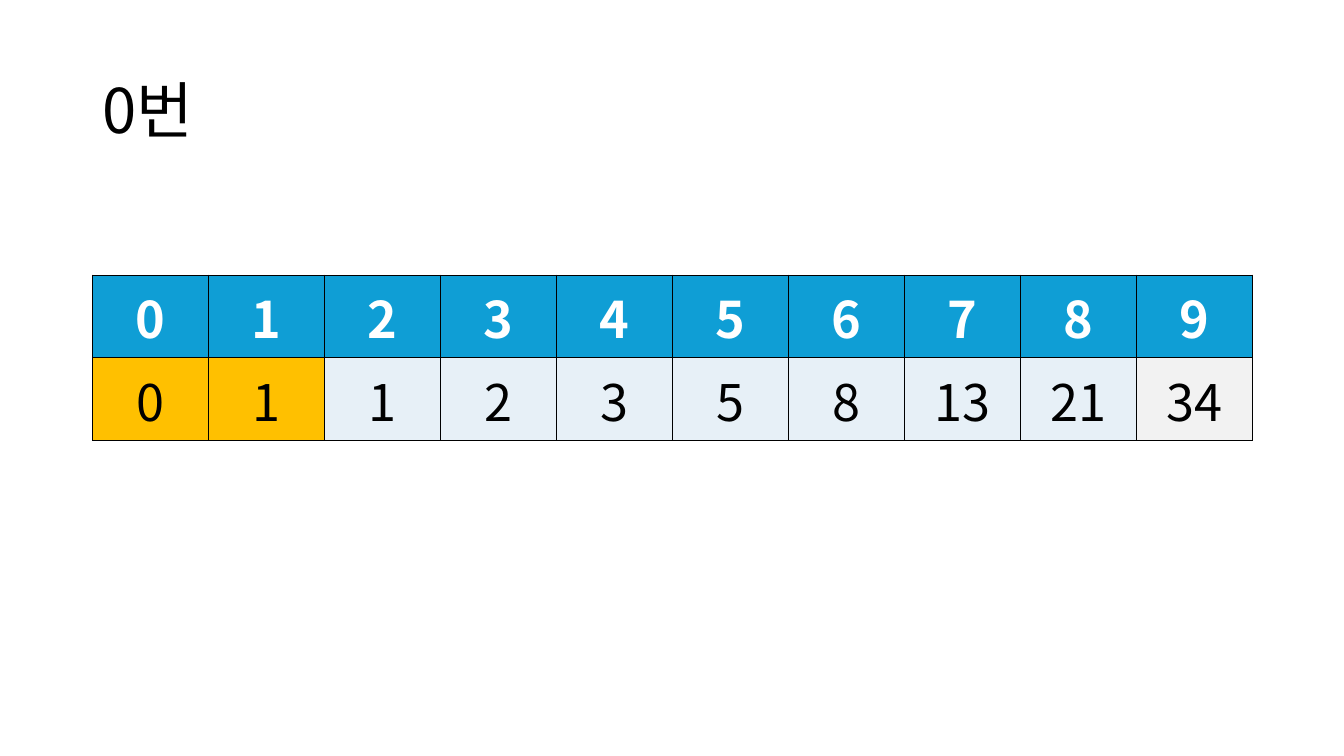
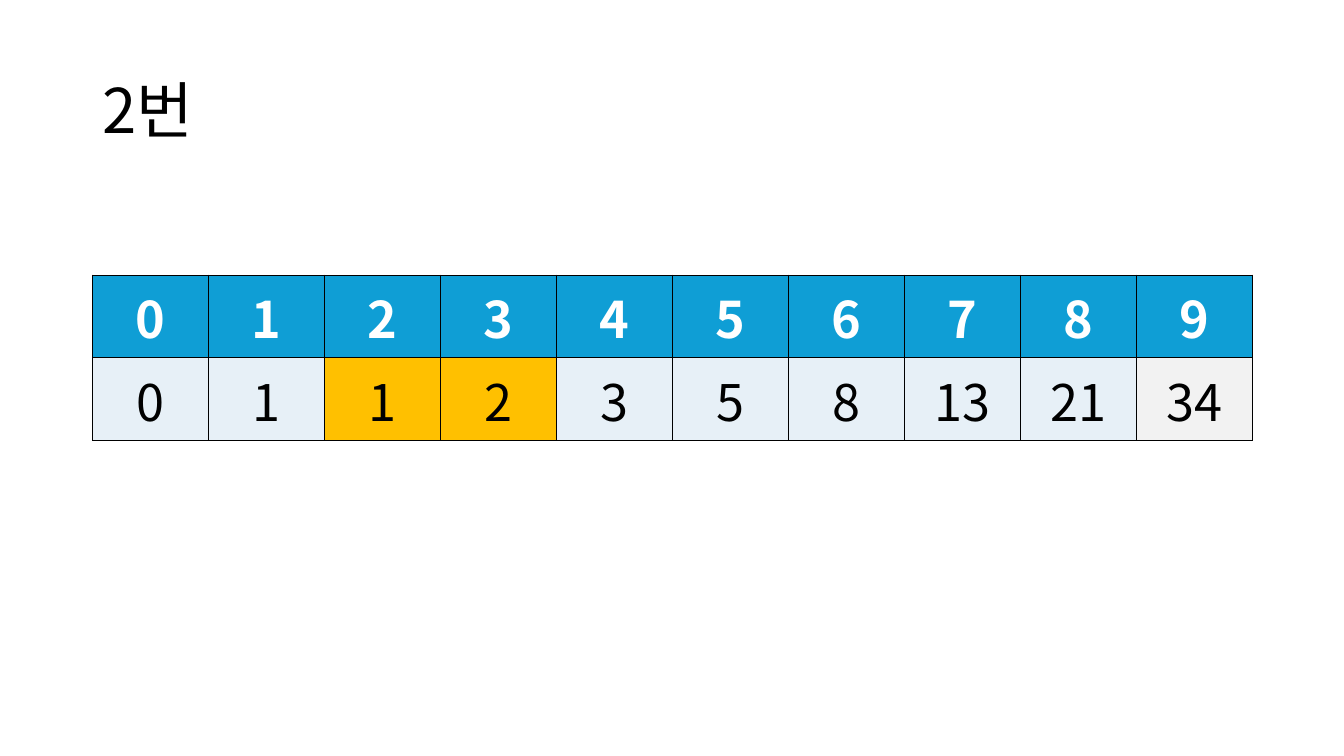
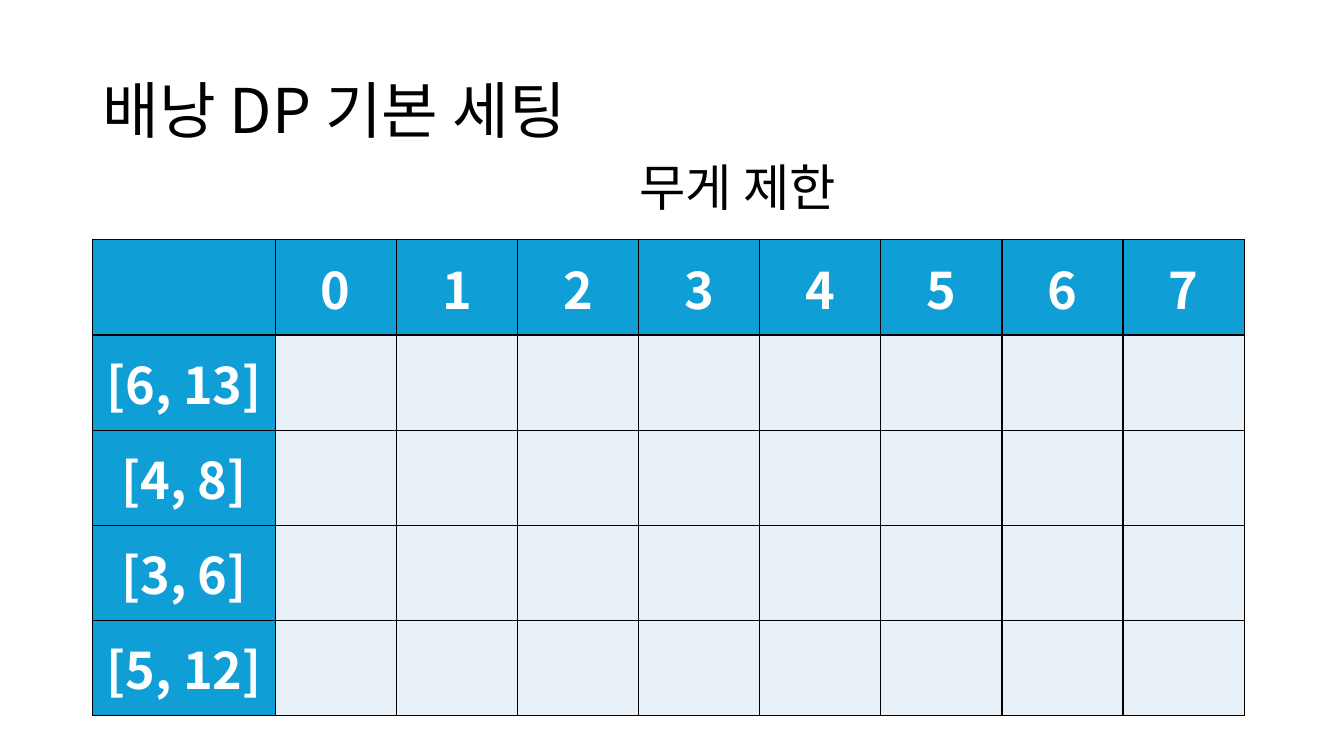
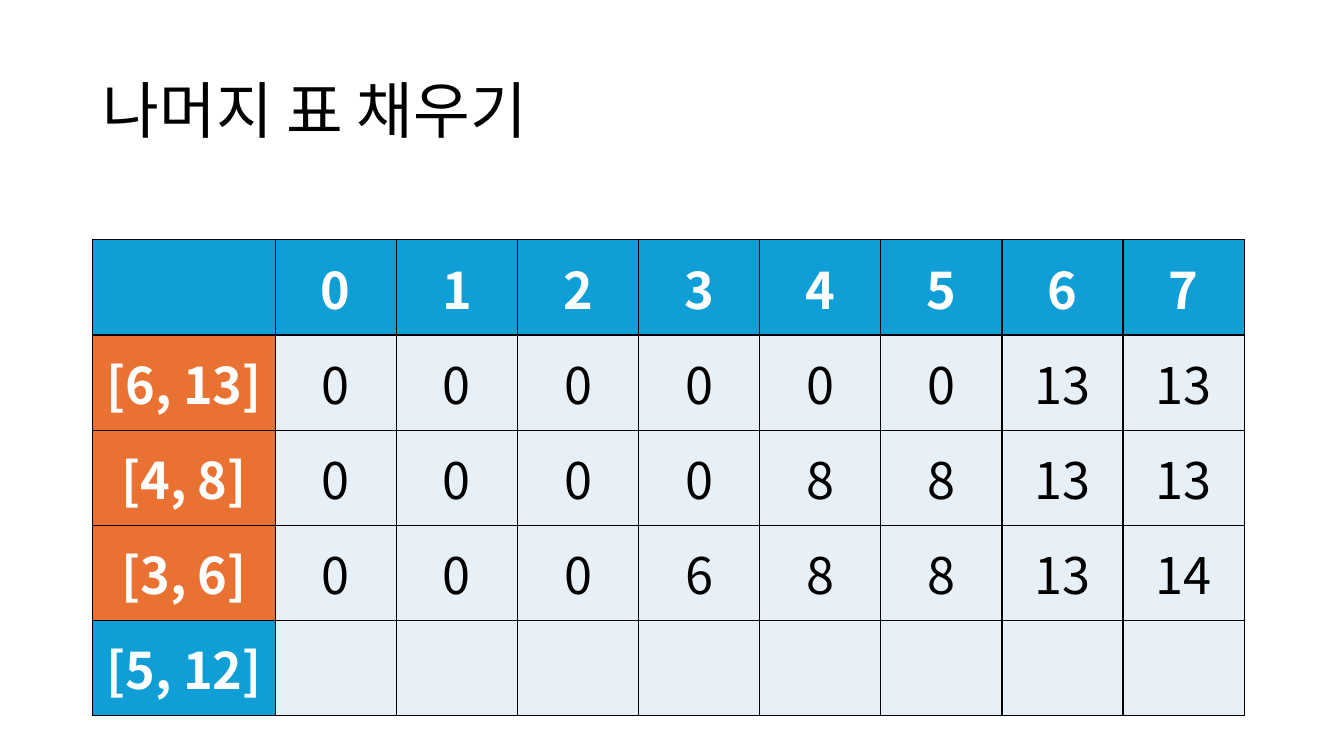
from dataclasses import dataclass
from lxml.etree import SubElement
from pptx import Presentation
from pptx.dml.color import RGBColor as RGB
from pptx.enum.text import MSO_ANCHOR as Anchor, PP_ALIGN as Align
from pptx.oxml import parse_xml
from pptx.oxml.ns import nsdecls, qn
from pptx.util import Inches, Pt


@dataclass(frozen=True)
class Theme:
    font: str = "Noto Sans CJK KR"
    title: int = 44
    body: int = 36
    ink: str = "000000"
    white: str = "FFFFFF"
    head: str = "0F9ED5"
    cell: str = "E7F0F7"
    last: str = "F2F2F2"
    mark: str = "FFC000"
    done: str = "E97132"


T = Theme()
LEFT = 0.92
ITEMS = ["[6, 13]", "[4, 8]", "[3, 6]", "[5, 12]"]
FIBS = [0, 1, 1, 2, 3, 5, 8, 13, 21, 34]
BEST = [
    [0, 0, 0, 0, 0, 0, 13, 13],
    [0, 0, 0, 0, 8, 8, 13, 13],
    [0, 0, 0, 6, 8, 8, 13, 14],
]


def style(para, size, color=T.ink, bold=False):
    """Set the font for both Latin and Korean text."""
    font = para.font
    font.size, font.bold, font.name = Pt(size), bold, T.font
    font.color.rgb = RGB.from_string(color)
    props = para._p.pPr.find(qn("a:defRPr"))
    SubElement(props, qn("a:ea"), typeface=T.font)


def add_text(slide, text, box, size, anchor=Anchor.TOP):
    frame = slide.shapes.add_textbox(*map(Inches, box)).text_frame
    frame.word_wrap = True
    frame.vertical_anchor = anchor
    frame.text = text
    para = frame.paragraphs[0]
    style(para, size)
    return para


def add_slide(deck, title):
    slide = deck.slides.add_slide(deck.slide_layouts[6])
    para = add_text(slide, title, (LEFT, 0.4, 11.5, 1.45), T.title, Anchor.MIDDLE)
    para.line_spacing = 0.9
    return slide


def add_edges(cell):
    props = cell._tc.get_or_add_tcPr()
    for side in "LRTB":
        props.append(parse_xml(
            f'<a:ln{side} {nsdecls("a")} w="12700"><a:solidFill>'
            f'<a:srgbClr val="{T.ink}"/></a:solidFill></a:ln{side}>'))


def fill_cell(cell, value, fill, head):
    add_edges(cell)
    cell.fill.solid()
    cell.fill.fore_color.rgb = RGB.from_string(fill)
    cell.vertical_anchor = Anchor.MIDDLE
    if value != "":
        cell.text = str(value)
        para = cell.text_frame.paragraphs[0]
        para.alignment = Align.CENTER
        style(para, T.body, T.white if head else T.ink, head)


def add_grid(slide, rows, box, tints, side=None):
    """Draw a table; side is the width of a heading column, if there is one."""
    count = len(rows[0])
    table = slide.shapes.add_table(len(rows), count, *map(Inches, box)).table
    if side:
        table.columns[0].width = Inches(side)
        for col in list(table.columns)[1:]:
            col.width = Inches((box[2] - side) / (count - 1))
    for r, row in enumerate(rows):
        for c, value in enumerate(row):
            head = r == 0 or (side is not None and c == 0)
            fill = tints.get((r, c), T.head if head else T.cell)
            fill_cell(table.cell(r, c), value, fill, head)


def add_fib(deck, start):
    """Mark the pair of numbers that begins at start."""
    slide = add_slide(deck, f"{start}번")
    tints = {(1, 9): T.last, (1, start): T.mark, (1, start + 1): T.mark}
    add_grid(slide, [range(10), FIBS], (LEFT, 2.73, 11.5, 1.64), tints)


def add_sack(deck, title, known):
    """Draw the knapsack table with the known rows filled in."""
    slide = add_slide(deck, title)
    blank = [[""] * 8] * (len(ITEMS) - len(known))
    rows = [["", *range(8)]]
    rows += [[item, *vals] for item, vals in zip(ITEMS, known + blank)]
    tints = {(r + 1, 0): T.done for r in range(len(known))}
    add_grid(slide, rows, (LEFT, 2.38, 11.42, 4.72), tints, 1.81)
    return slide


def main():
    deck = Presentation()
    deck.slide_width, deck.slide_height = Inches(13.33), Inches(7.5)
    for start in (0, 2):
        add_fib(deck, start)
    slide = add_sack(deck, "배낭 DP 기본 세팅", [])
    add_text(slide, "무게 제한", (6.24, 1.5, 2.6, 0.71), T.body)
    add_sack(deck, "나머지 표 채우기", BEST)
    deck.save("out.pptx")


if __name__ == "__main__":
    main()
